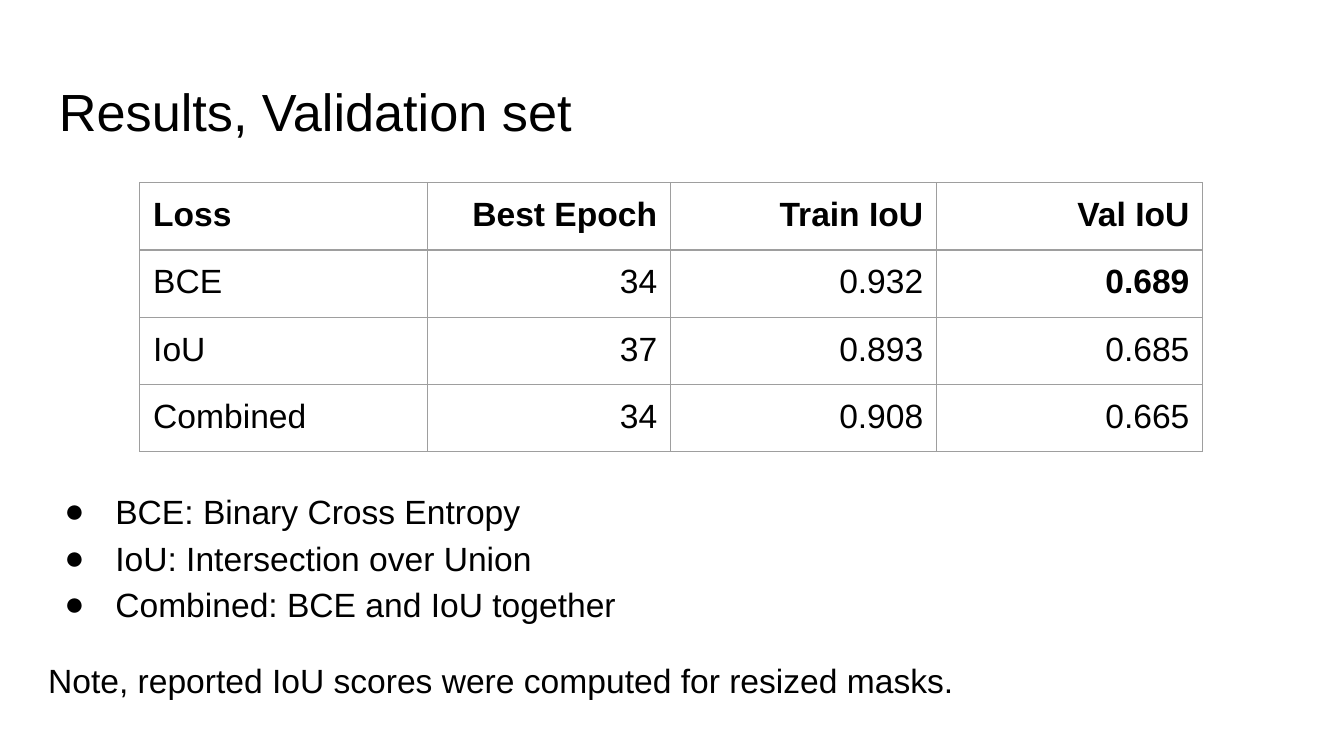
from dataclasses import dataclass

from lxml import etree
from pptx import Presentation
from pptx.dml.color import RGBColor
from pptx.enum.text import MSO_ANCHOR, PP_ALIGN
from pptx.oxml.ns import qn
from pptx.util import Inches, Pt

LEFT, RIGHT = PP_ALIGN.LEFT, PP_ALIGN.RIGHT
TOP = MSO_ANCHOR.TOP


@dataclass(frozen=True)
class Theme:
    font: str = "Arial"
    ink: str = "000000"
    border: str = "9E9E9E"
    title: int = 28
    body: int = 18


theme = Theme()
INSET = Inches(0.1)


def format_text(p, size, bold=False):
    for r in p.runs:
        r.font.name = theme.font
        r.font.size = Pt(size)
        r.font.bold = bold
        r.font.color.rgb = RGBColor.from_string(theme.ink)


def add_text_box(s, left, top, width, height):
    sp = s.shapes.add_textbox(Inches(left), Inches(top), Inches(width), Inches(height))
    tf = sp.text_frame
    tf.word_wrap = True
    tf.vertical_anchor = TOP
    tf.margin_left = tf.margin_top = tf.margin_right = tf.margin_bottom = INSET
    return tf


# Widescreen 16:9 slide
prs = Presentation()
prs.slide_width = Inches(10)
prs.slide_height = Inches(10) * 9 // 16
s = prs.slides.add_slide(prs.slide_layouts[6])

# Title
tf = add_text_box(s, 0.34, 0.49, 9.32, 0.63)
tf.text = "Results, Validation set"
format_text(tf.paragraphs[0], theme.title)

# Results table
rows = [
    ["Loss", "Best Epoch", "Train IoU", "Val IoU"],
    ["BCE", "34", "0.932", "0.689"],
    ["IoU", "37", "0.893", "0.685"],
    ["Combined", "34", "0.908", "0.665"],
]
col_widths = [2.14, 1.81, 1.98, 1.98]
row_height = 0.42  # rows grow to fit their text
best_score = (1, 3)

table = s.shapes.add_table(
    len(rows), len(col_widths), Inches(1.04), Inches(1.36),
    Inches(sum(col_widths)), Inches(row_height * len(rows)),
).table
table.first_row = table.horz_banding = False
for column, width in zip(table.columns, col_widths):
    column.width = Inches(width)

for i, row in enumerate(rows):
    table.rows[i].height = Inches(row_height)
    for j, value in enumerate(row):
        cell = table.cell(i, j)
        cell.margin_left = cell.margin_top = cell.margin_right = cell.margin_bottom = INSET
        p = cell.text_frame.paragraphs[0]
        p.text = value
        p.alignment = RIGHT if j else LEFT
        format_text(p, theme.body, bold=i == 0 or (i, j) == best_score)

        # Borders come before the fill in the cell properties
        tcPr = cell._tc.get_or_add_tcPr()
        for side in ("a:lnL", "a:lnR", "a:lnT", "a:lnB"):
            ln = etree.SubElement(tcPr, qn(side), w=str(Pt(0.75)))
            fill = etree.SubElement(ln, qn("a:solidFill"))
            etree.SubElement(fill, qn("a:srgbClr"), val=theme.border)
        cell.fill.background()

# Definitions of the losses, then the note
definitions = [
    "BCE: Binary Cross Entropy",
    "IoU: Intersection over Union",
    "Combined: BCE and IoU together",
]
note = "Note, reported IoU scores were computed for resized masks."

tf = add_text_box(s, 0.26, 3.51, 9.32, 2.01)
tf.text = "\n".join(definitions + [note])
for p in tf.paragraphs:
    p.line_spacing = 1.15
    format_text(p, theme.body)

for p in tf.paragraphs[:len(definitions)]:
    pPr = p._p.get_or_add_pPr()
    pPr.set("marL", str(Inches(0.5)))
    pPr.set("indent", str(Inches(-0.38)))
    color = etree.SubElement(pPr, qn("a:buClr"))
    etree.SubElement(color, qn("a:srgbClr"), val=theme.ink)
    etree.SubElement(pPr, qn("a:buFont"), typeface=theme.font)
    etree.SubElement(pPr, qn("a:buChar"), char="●")

p = tf.paragraphs[-1]
p.space_before = p.space_after = Pt(16)

prs.save("out.pptx")
